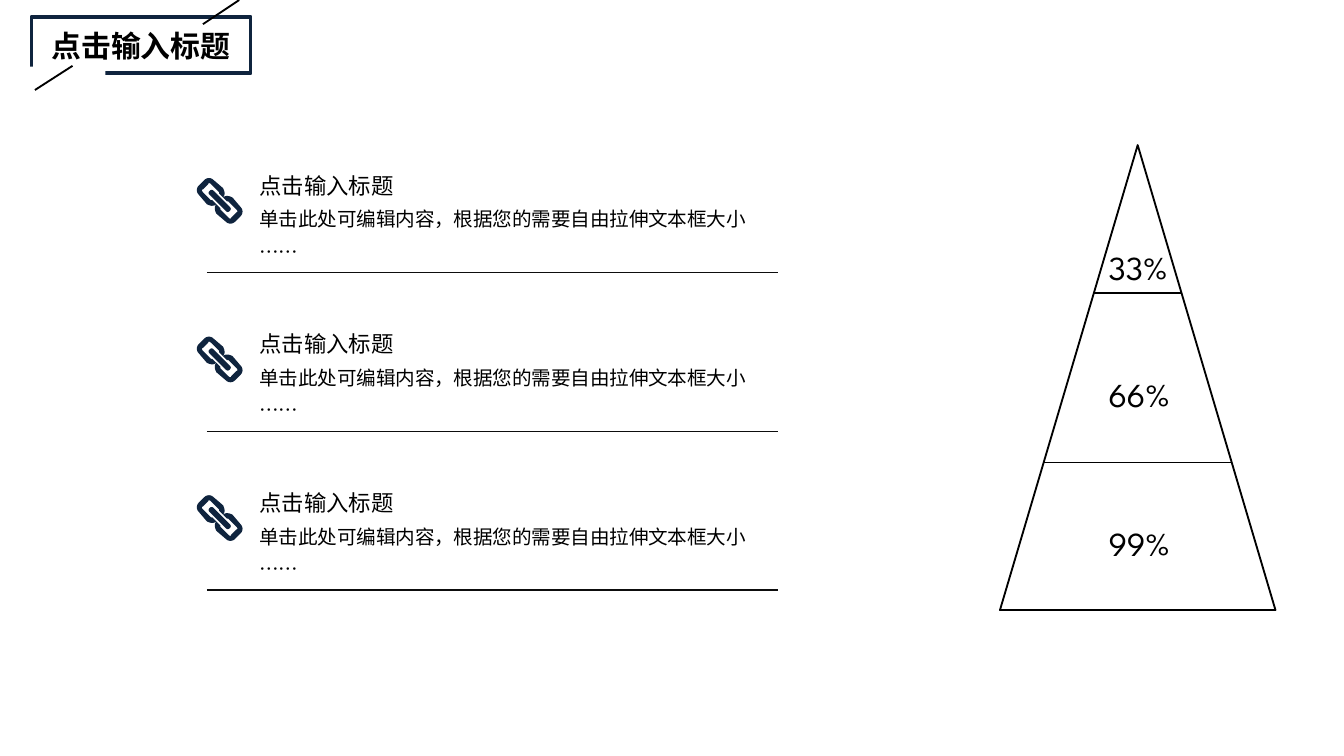
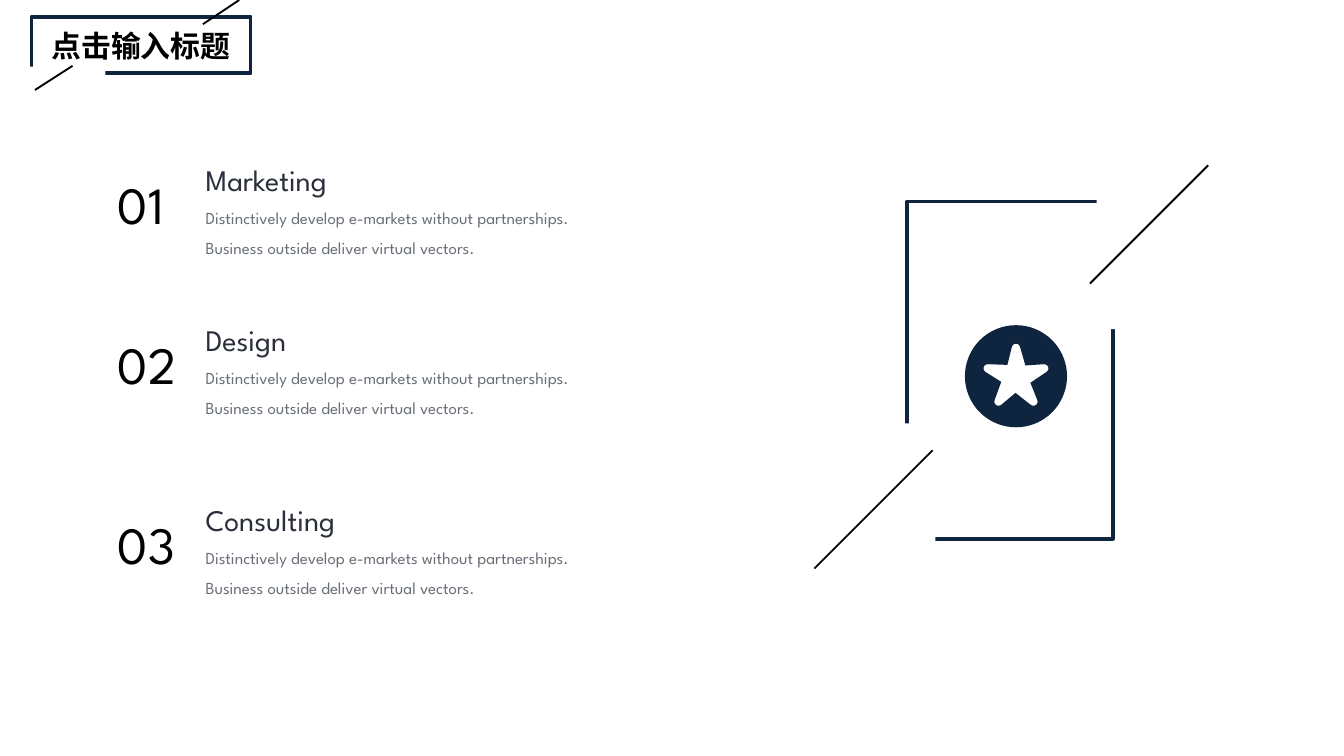
from math import cos, pi, sin

from lxml.etree import SubElement
from pptx import Presentation
from pptx.dml.color import RGBColor
from pptx.enum.shapes import MSO_CONNECTOR as Connector, MSO_SHAPE as Preset
from pptx.enum.text import MSO_AUTO_SIZE as AutoSize, PP_ALIGN as Align
from pptx.oxml.ns import qn
from pptx.util import Inches, Pt

COLORS = {
    "navy": "0F243E", "black": "000000", "rule": "0D0D0D", "white": "FFFFFF",
    "heading": "2B2F3C", "body": "696F78",
}
CJK = "Noto Sans CJK SC"
LATIN = "League Spartan"

TITLE = "点击输入标题"
LINK_ITEMS = [("点击输入标题", "单击此处可编辑内容，根据您的需要自由拉伸文本框大小", "……")] * 3
LINK_TOP, LINK_PITCH = 1.24, 1.18

PYRAMID = {"left": 7.44, "top": 1.08, "width": 2.05, "height": 3.46}
PYRAMID_DIVIDERS = [2.18, 3.44]
PYRAMID_LABELS = [("33%", 1.79), ("66%", 2.73), ("99%", 3.84)]

SERVICE_TEXT = (
    "Distinctively develop e-markets without partnerships.",
    "Business outside deliver virtual vectors.",
)
SERVICES = [("Marketing", 1.07), ("Design", 2.26), ("Consulting", 3.6)]

LINK_SIZE = 0.35
LINK_RING = [
    (0.12, 0.17), (0.11, 0.17), (0.05, 0.11), (0.04, 0.10, 0.04, 0.09, 0.05, 0.09),
    (0.09, 0.05), (0.09, 0.04, 0.10, 0.04, 0.11, 0.05), (0.17, 0.11), (0.17, 0.12),
    (0.20, 0.15), (0.22, 0.13, 0.21, 0.10, 0.20, 0.08), (0.13, 0.02),
    (0.11, 0, 0.08, 0, 0.06, 0.02), (0.02, 0.06), (0, 0.08, 0, 0.11, 0.02, 0.13),
    (0.08, 0.20), (0.10, 0.21, 0.13, 0.22, 0.15, 0.20),
]
LINK_BAR = [
    (0.10, 0.10), (0.09, 0.11, 0.09, 0.12, 0.10, 0.13), (0.22, 0.25),
    (0.23, 0.26, 0.24, 0.26, 0.25, 0.25), (0.26, 0.24, 0.26, 0.23, 0.25, 0.22),
    (0.13, 0.10), (0.12, 0.09, 0.11, 0.09, 0.10, 0.10),
]
STAR_ARM = [
    (-0.03, -0.23), (-0.02, -0.26, 0.02, -0.26, 0.03, -0.23), (0.07, -0.09),
]


def rgb(name):
    return RGBColor.from_string(COLORS[name])


def paint(shape, fill=None, line=None, weight=1):
    shape.shadow.inherit = False
    if fill:
        shape.fill.solid()
        shape.fill.fore_color.rgb = rgb(fill)
    else:
        shape.fill.background()
    if line:
        shape.line.color.rgb = rgb(line)
        shape.line.width = Pt(weight)
    else:
        shape.line.fill.background()


def add_preset(group, preset, left, top, width, height, rotation=0, **style):
    shape = group.shapes.add_shape(
        preset, Inches(left), Inches(top), Inches(width), Inches(height))
    shape.rotation = rotation
    paint(shape, **style)


def add_line(group, start, end, color="black", weight=1):
    line = group.shapes.add_connector(
        Connector.STRAIGHT, *[Inches(value) for value in (*start, *end)])
    line.line.color.rgb = rgb(color)
    line.line.width = Pt(weight)
    SubElement(line._element.spPr, qn("a:effectLst"))


def add_text(group, lines, left, top, width, height, font=LATIN, bold=False,
             align=None, spacing=None, before=None, inset=True, wrap=True):
    box = group.shapes.add_textbox(
        Inches(left), Inches(top), Inches(width), Inches(height))
    frame = box.text_frame
    frame.word_wrap = wrap
    frame.auto_size = AutoSize.SHAPE_TO_FIT_TEXT
    if not inset:
        frame.margin_left = frame.margin_right = 0
        frame.margin_top = frame.margin_bottom = 0
    for index, (text, size, color) in enumerate(lines):
        para = frame.add_paragraph() if index else frame.paragraphs[0]
        para.alignment = align
        para.line_spacing = spacing
        if before:
            gap = SubElement(para._p.get_or_add_pPr(), qn("a:spcBef"))
            SubElement(gap, qn("a:spcPct"), val=str(before * 1000))
        span = para.add_run()
        span.text = text
        span.font.size = Pt(size)
        span.font.bold = bold
        span.font.color.rgb = rgb(color)
        span.font.name = font
        SubElement(span._r.get_or_add_rPr(), qn("a:ea"), typeface=CJK)


def flatten(outline, steps=6):
    points = []
    for node in outline:
        if len(node) == 2:
            points.append(node)
            continue
        corners = [points[-1], node[:2], node[2:4], node[4:]]
        for step in range(1, steps + 1):
            t = step / steps
            weights = ((1 - t) ** 3, 3 * t * (1 - t) ** 2, 3 * t * t * (1 - t), t ** 3)
            points.append(tuple(
                sum(weight * corner[axis] for weight, corner in zip(weights, corners))
                for axis in (0, 1)))
    return points


def add_outline(group, contours, left, top, fill="navy"):
    placed = [[(Inches(left + x), Inches(top + y)) for x, y in contour]
              for contour in contours]
    builder = group.shapes.build_freeform(*placed[0][0])
    for index, contour in enumerate(placed):
        if index:
            builder.move_to(*contour[0])
        builder.add_line_segments(contour[1:], close=True)
    paint(builder.convert_to_shape(), fill=fill)


def turn(point, angle):
    x, y = point
    return x * cos(angle) - y * sin(angle), x * sin(angle) + y * cos(angle)


def add_link_icon(group, left, top):
    ring = flatten(LINK_RING)
    opposite = [(LINK_SIZE - x, LINK_SIZE - y) for x, y in ring]
    for contour in (ring, opposite, flatten(LINK_BAR)):
        add_outline(group, [contour], left, top)


def add_star_badge(group, center_x, center_y, radius):
    circle = [turn((0, -radius), 2 * pi * step / 72) for step in range(72)]
    arm = flatten(STAR_ARM)
    star = [turn(point, 2 * pi * index / 5) for index in range(5) for point in arm]
    add_outline(group, [circle, [(x, y + 0.01) for x, y in star]], center_x, center_y)


def add_page(deck):
    page = deck.slides.add_slide(deck.slide_layouts[6])
    group = page.shapes.add_group_shape()
    add_preset(group, Preset.RECTANGLE, 0.84, -0.48, 0.42, 1.63,
               rotation=270, line="navy", weight=2)
    add_preset(group, Preset.RECTANGLE, 0.35, 0.14, 0.08, 0.79,
               rotation=270, fill="white")
    add_line(group, (1.78, 0), (1.51, 0.18))
    add_line(group, (0.54, 0.49), (0.26, 0.67))
    add_text(group, [(TITLE, 16, "black")], -0.05, 0.16, 2.2, 0.37,
             font="Arial", bold=True, align=Align.CENTER)
    return page


def add_pyramid(page):
    group = page.shapes.add_group_shape()
    add_preset(group, Preset.ISOSCELES_TRIANGLE, *PYRAMID.values(), line="black")
    middle = PYRAMID["left"] + PYRAMID["width"] / 2
    for y in PYRAMID_DIVIDERS:
        half = PYRAMID["width"] / 2 * (y - PYRAMID["top"]) / PYRAMID["height"]
        add_line(group, (middle - half, y), (middle + half, y), weight=0.75)
    for label, top in PYRAMID_LABELS:
        add_text(group, [(label, 18, "black")], 8.15, top, 0.94, 0.4)


def add_link_items(page):
    for index, (heading, *details) in enumerate(LINK_ITEMS):
        top = LINK_TOP + index * LINK_PITCH
        group = page.shapes.add_group_shape()
        lines = [(heading, 12, "black")] + [(text, 10.5, "black") for text in details]
        add_text(group, lines, 1.93, top, 4.91, 0.74, font=CJK,
                 spacing=1.2, before=20, inset=False)
        add_link_icon(group, 1.46, top + 0.08)
        add_line(group, (1.54, top + 0.79), (5.79, top + 0.79), "rule", 0.75)


def add_services(page):
    for number, (heading, top) in enumerate(SERVICES, 1):
        group = page.shapes.add_group_shape()
        lines = [(heading, 16, "heading")] + [(text, 9, "body") for text in SERVICE_TEXT]
        add_text(group, lines, 1.53, top, 3.19, 0.86,
                 spacing=1.5, inset=False, wrap=False)
        add_text(group, [(f"{number:02d}", 28, "black")], 0.78, top + 0.16, 0.74, 0.57)


def add_star_frame(page):
    group = page.shapes.add_group_shape()
    add_preset(group, Preset.RECTANGLE, 6.75, 1.5, 1.53, 2.51, line="navy", weight=2)
    for left, top in ((8.16, 1.23), (6.65, 3.15)):
        add_preset(group, Preset.RECTANGLE, left, top, 0.31, 1.22, fill="white")
    for x, y in ((8.99, 1.23), (6.94, 3.35)):
        add_line(group, (x, y), (x - 0.88, y + 0.88))
    add_star_badge(group, 7.56, 2.8, 0.38)


def main():
    deck = Presentation()
    deck.slide_width = Inches(10)
    deck.slide_height = deck.slide_width * 9 // 16
    pyramid_page = add_page(deck)
    add_pyramid(pyramid_page)
    add_link_items(pyramid_page)
    services_page = add_page(deck)
    add_services(services_page)
    add_star_frame(services_page)
    deck.save("out.pptx")


if __name__ == "__main__":
    main()
